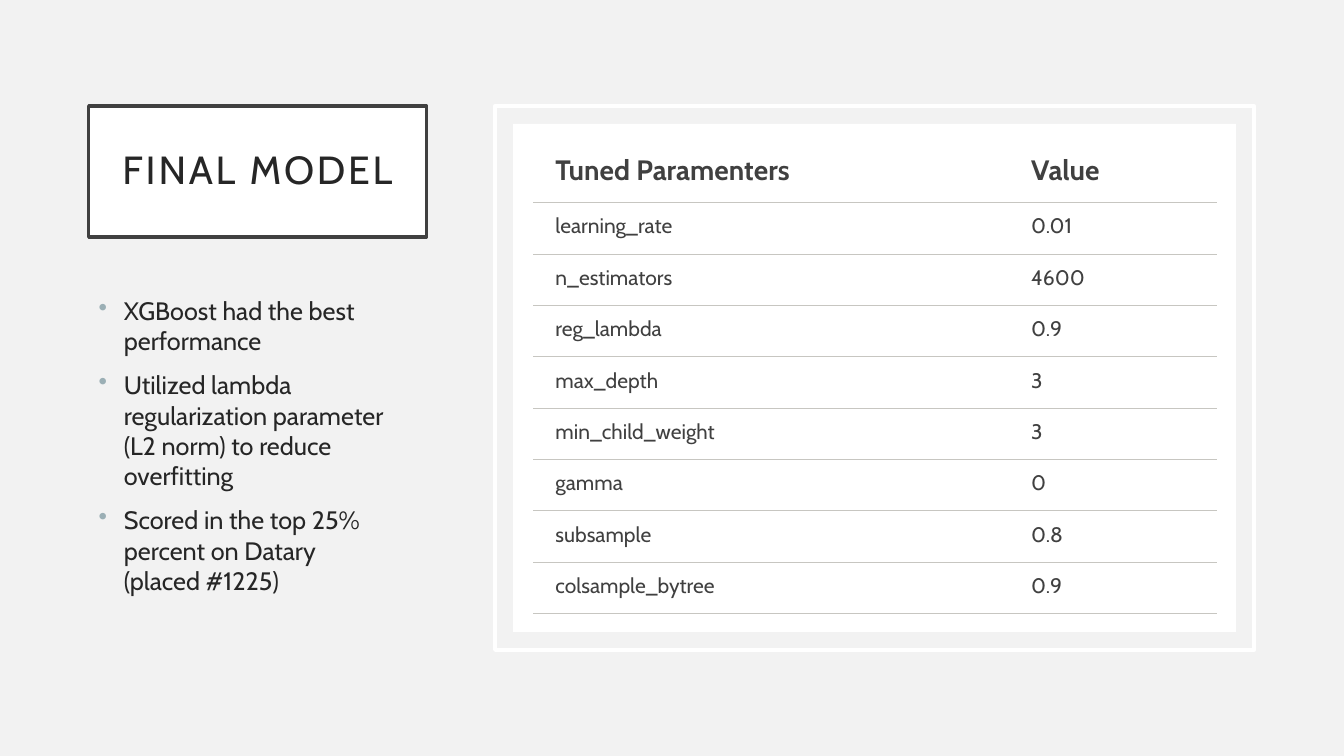
import pptx
import pptx.dml.color
import pptx.enum.shapes
import pptx.enum.text
import pptx.oxml
import pptx.oxml.ns
import pptx.util

FONT = "Cabin"
COLORS = {
    "background": "F2F2F2", "white": "FFFFFF", "title_border": "404040",
    "text": "262626", "table_text": "404040", "bullet": "9BAFB5", "rule": "C7C6C1",
}
BULLETS = [
    "XGBoost had the best performance",
    "Utilized lambda regularization parameter (L2 norm) to reduce overfitting",
    "Scored in the top 25% percent on Datary\v(placed #1225)",
]
PARAMETERS = [
    ("Tuned Paramenters", "Value"),
    ("learning_rate", "0.01"),
    ("n_estimators", "4600"),
    ("reg_lambda", "0.9"),
    ("max_depth", "3"),
    ("min_child_weight", "3"),
    ("gamma", "0"),
    ("subsample", "0.8"),
    ("colsample_bytree", "0.9"),
]

presentation = pptx.Presentation()
presentation.slide_width = pptx.util.Inches(13.33)
presentation.slide_height = pptx.util.Inches(7.5)
slide = presentation.slides.add_slide(presentation.slide_layouts[6])
slide.background.fill.solid()
slide.background.fill.fore_color.rgb = pptx.dml.color.RGBColor.from_string(COLORS["background"])


def place(left, top, width, height):
    """Turn percentages of the slide's width and height into lengths."""
    across, down = presentation.slide_width / 100, presentation.slide_height / 100
    return [round(left * across), round(top * down), round(width * across), round(height * down)]


def set_font(paragraph, size, color, bold=False):
    """Set the slide's typeface, size, colour and weight on a paragraph."""
    paragraph.font.name = FONT
    paragraph.font.size = pptx.util.Pt(size)
    paragraph.font.bold = bold
    paragraph.font.color.rgb = pptx.dml.color.RGBColor.from_string(COLORS[color])


# Title box, table frame and table panel
boxes = []
for area, fill, line in [
    ((6.6, 14, 25.13, 17.33), "white", "title_border"),
    ((36.83, 14, 56.49, 72), None, "white"),
    ((38.18, 16.4, 53.79, 67.2), "white", None),
]:
    box = slide.shapes.add_shape(pptx.enum.shapes.MSO_SHAPE.RECTANGLE, *place(*area))
    box.shadow.inherit = False
    if fill:
        box.fill.solid()
        box.fill.fore_color.rgb = pptx.dml.color.RGBColor.from_string(COLORS[fill])
    else:
        box.fill.background()
    if line:
        box.line.color.rgb = pptx.dml.color.RGBColor.from_string(COLORS[line])
        box.line.width = pptx.util.Pt(2.5)
    else:
        box.line.fill.background()
    boxes.append(box)

title_frame = boxes[0].text_frame
title_frame.vertical_anchor = pptx.enum.text.MSO_ANCHOR.MIDDLE
title_frame.margin_left = title_frame.margin_right = pptx.util.Inches(0.2)
title_frame.margin_top = title_frame.margin_bottom = pptx.util.Inches(0.2)
title = title_frame.paragraphs[0]
title.text = "FINAL MODEL"
title.alignment = pptx.enum.text.PP_ALIGN.CENTER
title.line_spacing = 0.9
set_font(title, 28, "text")
title.runs[0].font._element.set("spc", "200")

# Findings
findings = slide.shapes.add_textbox(*place(6.6, 38.4, 25.13, 47.6)).text_frame
findings.word_wrap = True
indent = pptx.util.Inches(0.25)
for number, text in enumerate(BULLETS):
    paragraph = findings.add_paragraph() if number else findings.paragraphs[0]
    paragraph.text = text
    paragraph.space_before = pptx.util.Pt(10)
    set_font(paragraph, 18, "text")
    properties = paragraph._p.get_or_add_pPr()
    properties.set("marL", str(indent))
    properties.set("indent", str(-indent))
    bullet_color = pptx.oxml.parse_xml(
        f'<a:buClr {pptx.oxml.ns.nsdecls("a")}><a:srgbClr val="{COLORS["bullet"]}"/></a:buClr>')
    bullet = pptx.oxml.parse_xml(f'<a:buChar {pptx.oxml.ns.nsdecls("a")} char="•"/>')
    properties.find(pptx.oxml.ns.qn("a:spcBef")).addnext(bullet_color)
    bullet_color.addnext(bullet)

# Parameter table
table_area = place(39.68, 18.8, 50.86, 62.4)
table = slide.shapes.add_table(len(PARAMETERS), 2, *table_area).table
table.first_row = table.horz_banding = False
no_style = "{2D5ABB26-0587-4C30-8999-92F81FD0307C}"
table._tbl.tblPr.find(pptx.oxml.ns.qn("a:tableStyleId")).text = no_style
for column, share in zip(table.columns, (0.696, 0.304)):
    column.width = round(table_area[2] * share)
for row_number, values in enumerate(PARAMETERS):
    is_header = row_number == 0
    row_share = 0.08 if is_header else 0.068
    table.rows[row_number].height = round(presentation.slide_height * row_share)
    for cell, value in zip(table.rows[row_number].cells, values):
        cell.fill.background()
        cell.margin_left = pptx.util.Inches(0.22)
        cell.margin_right = pptx.util.Inches(0.17)
        cell.margin_top = cell.margin_bottom = pptx.util.Inches(0.11)
        paragraph = cell.text_frame.paragraphs[0]
        paragraph.text = value
        set_font(paragraph, 20 if is_header else 15, "table_text", is_header)
        rule = pptx.oxml.parse_xml(
            f'<a:lnB {pptx.oxml.ns.nsdecls("a")} w="{pptx.util.Pt(0.75)}"><a:solidFill>'
            f'<a:srgbClr val="{COLORS["rule"]}"/></a:solidFill></a:lnB>')
        cell._tc.get_or_add_tcPr().insert(0, rule)

presentation.save("out.pptx")
